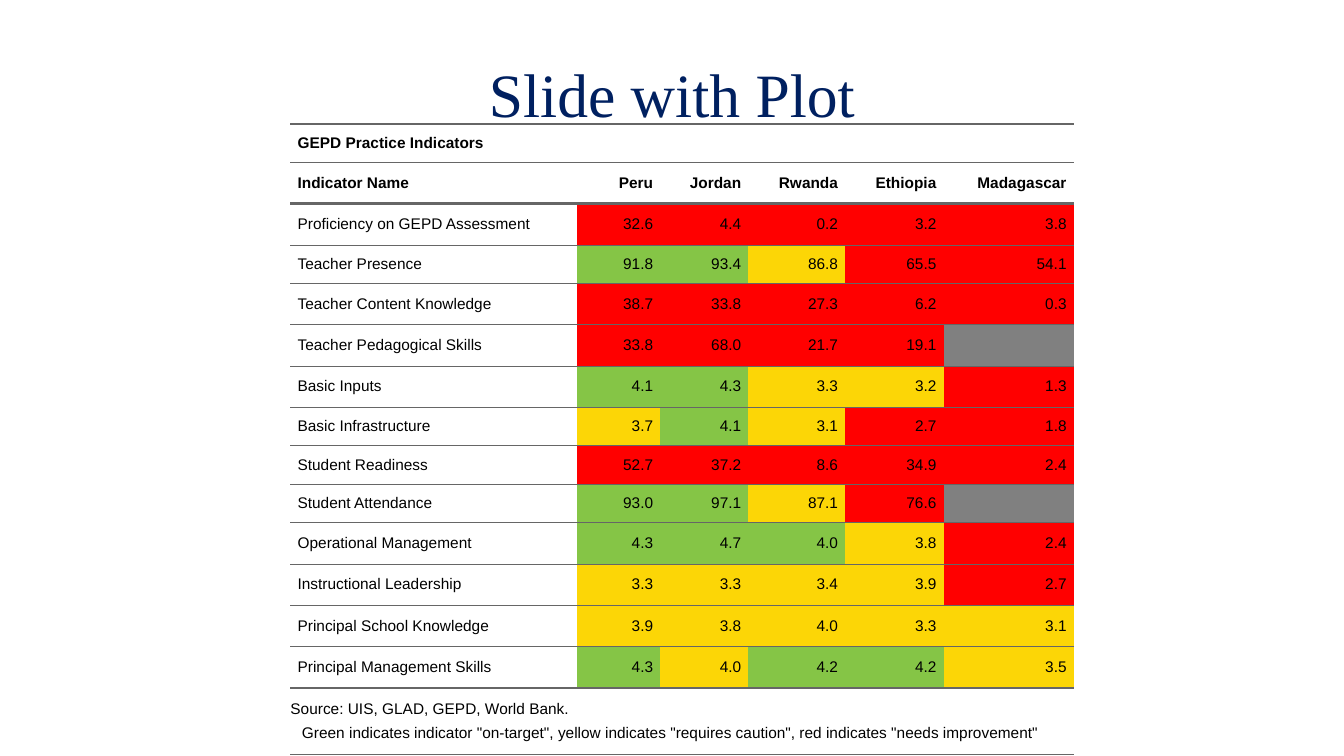
from lxml.etree import SubElement
from pptx import Presentation
from pptx.dml.color import RGBColor
from pptx.enum.text import MSO_ANCHOR, PP_ALIGN
from pptx.oxml.ns import qn
from pptx.util import Cm, Pt

TITLE = "Slide with Plot"
CAPTION = "GEPD Practice Indicators"
HEADINGS = ["Indicator Name", "Peru", "Jordan", "Rwanda", "Ethiopia", "Madagascar"]
INDICATORS = [
    ("Proficiency on GEPD Assessment", "32.6 4.4 0.2 3.2 3.8", "RRRRR"),
    ("Teacher Presence", "91.8 93.4 86.8 65.5 54.1", "GGYRR"),
    ("Teacher Content Knowledge", "38.7 33.8 27.3 6.2 0.3", "RRRRR"),
    ("Teacher Pedagogical Skills", "33.8 68.0 21.7 19.1", "RRRRN"),
    ("Basic Inputs", "4.1 4.3 3.3 3.2 1.3", "GGYYR"),
    ("Basic Infrastructure", "3.7 4.1 3.1 2.7 1.8", "YGYRR"),
    ("Student Readiness", "52.7 37.2 8.6 34.9 2.4", "RRRRR"),
    ("Student Attendance", "93.0 97.1 87.1 76.6", "GGYRN"),
    ("Operational Management", "4.3 4.7 4.0 3.8 2.4", "GGGYR"),
    ("Instructional Leadership", "3.3 3.3 3.4 3.9 2.7", "YYYYR"),
    ("Principal School Knowledge", "3.9 3.8 4.0 3.3 3.1", "YYYYY"),
    ("Principal Management Skills", "4.3 4.0 4.2 4.2 3.5", "GYGGY"),
]
SOURCE = "Source: UIS, GLAD, GEPD, World Bank."
LEGEND = ('Green indicates indicator "on-target", yellow indicates "requires caution", '
          'red indicates "needs improvement"')

NAVY = RGBColor(0x00, 0x20, 0x60)
BLACK = RGBColor(0x00, 0x00, 0x00)
RULE = RGBColor(0x66, 0x66, 0x66)
RATING_FILLS = {
    "R": RGBColor(0xFF, 0x00, 0x00),
    "Y": RGBColor(0xFC, 0xD6, 0x06),
    "G": RGBColor(0x85, 0xC5, 0x46),
    "N": RGBColor(0x80, 0x80, 0x80),
}
NO_GRID_STYLE = "{2D5ABB26-0587-4C30-8999-92F81FD0307C}"
COLUMN_WIDTHS = [7.23, 2.09, 2.22, 2.44, 2.48, 3.28]
LOW_ROW, HIGH_ROW, FOOTER_ROW = 0.97, 1.04, 1.69
LOW_ROWS = {0, 3, 7, 8, 9}
PADDING = 0.18
LAST = len(INDICATORS) + 2
THICK_EDGES = {0, 2, LAST}


def add_rule(cell, tag, edge):
    width = Pt(2) if edge in THICK_EDGES else Pt(0.5)
    line = SubElement(cell._tc.get_or_add_tcPr(), qn(tag), w=str(width))
    SubElement(SubElement(line, qn("a:solidFill")), qn("a:srgbClr"), val=str(RULE))


def write(paragraph, text, bold=False, align=PP_ALIGN.LEFT, before=5, after=5):
    paragraph.alignment = align
    paragraph.space_before = Pt(before)
    paragraph.space_after = Pt(after)
    run = paragraph.add_run()
    run.text = text
    run.font.name = "Arial"
    run.font.size = Pt(11)
    run.font.bold = bold
    run.font.color.rgb = BLACK


prs = Presentation()
prs.slide_width, prs.slide_height = Cm(33.87), Cm(19.05)
slide = prs.slides.add_slide(prs.slide_layouts[5])

title = slide.shapes.title
title.left, title.top, title.width, title.height = Cm(1.7), Cm(0.76), Cm(30.48), Cm(3.18)
title.text_frame.vertical_anchor = MSO_ANCHOR.MIDDLE
heading = title.text_frame.paragraphs[0]
heading.alignment = PP_ALIGN.CENTER
heading_run = heading.add_run()
heading_run.text = TITLE
heading_run.font.name = "Times New Roman"
heading_run.font.size = Pt(44)
heading_run.font.color.rgb = NAVY

row_heights = [LOW_ROW if r in LOW_ROWS else HIGH_ROW for r in range(LAST)] + [FOOTER_ROW]
table = slide.shapes.add_table(
    LAST + 1, len(HEADINGS), Cm(7.32), Cm(3.12),
    Cm(sum(COLUMN_WIDTHS)), Cm(sum(row_heights))).table
table.first_row = table.horz_banding = False
table._tbl.tblPr.find(qn("a:tableStyleId")).text = NO_GRID_STYLE
for column, width in zip(table.columns, COLUMN_WIDTHS):
    column.width = Cm(width)
for row, height in zip(table.rows, row_heights):
    row.height = Cm(height)

for r in range(LAST + 1):
    for c in range(len(HEADINGS)):
        cell = table.cell(r, c)
        cell.vertical_anchor = MSO_ANCHOR.MIDDLE
        cell.margin_top = cell.margin_bottom = 0
        cell.margin_left = cell.margin_right = 0 if r == LAST else Cm(PADDING)
        add_rule(cell, "a:lnT", r)
        add_rule(cell, "a:lnB", r + 1)
        cell.fill.background()

for r in (0, LAST):
    table.cell(r, 0).merge(table.cell(r, len(HEADINGS) - 1))

write(table.cell(0, 0).text_frame.paragraphs[0], CAPTION, bold=True)
for c, name in enumerate(HEADINGS):
    write(table.cell(1, c).text_frame.paragraphs[0], name, bold=True,
          align=PP_ALIGN.RIGHT if c else PP_ALIGN.LEFT)

for r, (indicator, scores, ratings) in enumerate(INDICATORS, start=2):
    write(table.cell(r, 0).text_frame.paragraphs[0], indicator)
    for c, score in enumerate(scores.split(), start=1):
        write(table.cell(r, c).text_frame.paragraphs[0], score, align=PP_ALIGN.RIGHT)
    for c, rating in enumerate(ratings, start=1):
        fill = table.cell(r, c).fill
        fill.solid()
        fill.fore_color.rgb = RATING_FILLS[rating]

footer = table.cell(LAST, 0).text_frame
write(footer.paragraphs[0], SOURCE, after=0)
legend = footer.add_paragraph()
write(legend, LEGEND)
legend._p.get_or_add_pPr().set("marL", str(Cm(0.29)))

prs.save("out.pptx")
